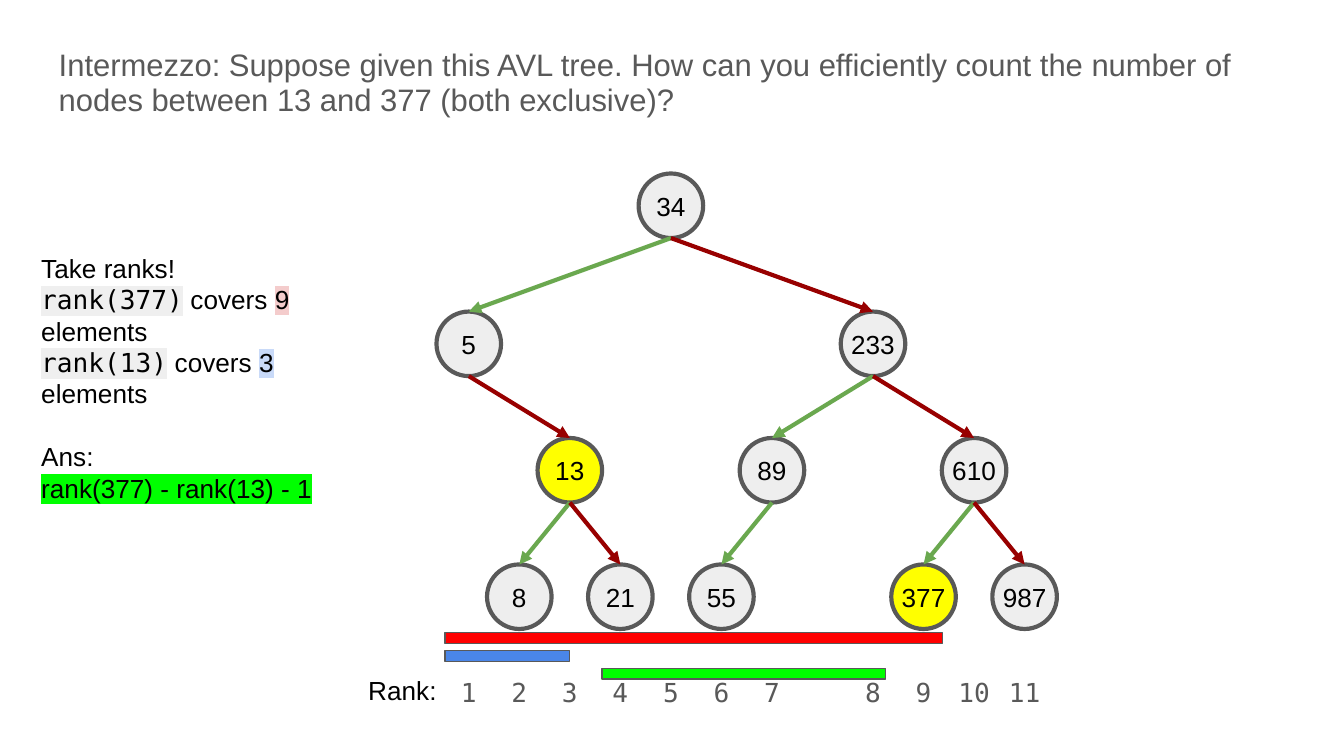
from dataclasses import dataclass

from lxml.etree import SubElement
from pptx import Presentation
from pptx.dml.color import RGBColor
from pptx.enum.shapes import MSO_CONNECTOR, MSO_SHAPE
from pptx.enum.text import MSO_ANCHOR, MSO_AUTO_SIZE, PP_ALIGN
from pptx.oxml.ns import qn
from pptx.util import Cm, Pt


@dataclass(frozen=True)
class Theme:
    sans: str = "Arial"
    mono: str = "DejaVu Sans Mono"
    title_size: float = 16.6
    text_size: float = 14
    text: str = "000000"
    gray: str = "595959"
    node: str = "EEEEEE"
    marked: str = "FFFF00"
    left_edge: str = "6AA84F"
    right_edge: str = "980000"
    red: str = "FF0000"
    blue: str = "4A86E8"
    green: str = "00FF00"
    code_bg: str = "EFEFEF"
    red_bg: str = "F4CCCC"
    blue_bg: str = "C9DAF8"


THEME = Theme()

# Tree geometry in cm: nodes sit on half-step columns, one row per level.
FIRST_X, COLUMN = 8.86, 0.955
LEVEL_Y = [3.89, 6.5, 8.89, 11.28]
DIAMETER = 1.22
RANK_Y, RANK_SIZE = 13.09, 0.89

# key: (column, level)
NODES = {
    8: (1, 3), 21: (3, 3), 55: (5, 3), 377: (9, 3), 987: (11, 3),
    13: (2, 2), 89: (6, 2), 610: (10, 2),
    5: (0, 1), 233: (8, 1),
    34: (4, 0),
}
CHILDREN = {34: (5, 233), 5: (13,), 233: (89, 610),
            13: (8, 21), 89: (55,), 610: (377, 987)}
MARKED = {13, 377}

# left, width, colour
BARS = [(8.41, 9.4, THEME.red), (8.41, 2.36, THEME.blue), (11.38, 5.36, THEME.green)]
BAR_TOP, BAR_STEP, BAR_HEIGHT = 11.96, 0.34, 0.2


def rgb(value):
    return RGBColor.from_string(value)


def center(key):
    column, level = NODES[key]
    return FIRST_X + column * COLUMN, LEVEL_Y[level]


def add_run(p, text, size=THEME.text_size, font=THEME.sans, color=THEME.text,
            highlight=None):
    r = p.add_run()
    r.text = text
    r.font.size = Pt(size)
    r.font.color.rgb = rgb(color)
    if highlight:
        mark = SubElement(r.font._element, qn("a:highlight"))
        SubElement(mark, qn("a:srgbClr"), val=highlight)
    r.font.name = font


def set_frame(tf, inset, anchor=MSO_ANCHOR.TOP):
    tf.word_wrap = True
    tf.auto_size = MSO_AUTO_SIZE.NONE
    tf.vertical_anchor = anchor
    tf.margin_left = tf.margin_right = tf.margin_top = tf.margin_bottom = Cm(inset)


def add_text(s, left, top, width, height, inset=0.25, anchor=MSO_ANCHOR.TOP):
    sp = s.shapes.add_textbox(Cm(left), Cm(top), Cm(width), Cm(height))
    set_frame(sp.text_frame, inset, anchor)
    return sp.text_frame


def add_outlined(s, kind, left, top, width, height, fill, line_width):
    sp = s.shapes.add_shape(kind, Cm(left), Cm(top), Cm(width), Cm(height))
    sp.shadow.inherit = False
    sp.fill.solid()
    sp.fill.fore_color.rgb = rgb(fill)
    sp.line.color.rgb = rgb(THEME.gray)
    sp.line.width = Pt(line_width)
    return sp


def add_title(s, text):
    sp = s.shapes.title
    sp.left, sp.top, sp.width, sp.height = Cm(0.86), Cm(0.66), Cm(23.67), Cm(2.31)
    set_frame(sp.text_frame, 0.25)
    p = sp.text_frame.paragraphs[0]
    p.alignment = PP_ALIGN.LEFT
    p.line_spacing = 0.95
    p.space_after = Pt(12)
    add_run(p, text, size=THEME.title_size, color=THEME.gray)


def add_node(s, key):
    x, y = center(key)
    sp = add_outlined(s, MSO_SHAPE.OVAL, x - DIAMETER / 2, y - DIAMETER / 2,
                      DIAMETER, DIAMETER,
                      THEME.marked if key in MARKED else THEME.node, 2.25)
    tf = sp.text_frame
    set_frame(tf, 0, MSO_ANCHOR.MIDDLE)
    tf.paragraphs[0].alignment = PP_ALIGN.CENTER
    add_run(tf.paragraphs[0], str(key))


def add_edge(s, parent, child):
    """Arrow from the bottom of the parent to the top of the child."""
    (x1, y1), (x2, y2) = center(parent), center(child)
    c = s.shapes.add_connector(MSO_CONNECTOR.STRAIGHT, Cm(x1), Cm(y1 + DIAMETER / 2),
                               Cm(x2), Cm(y2 - DIAMETER / 2))
    c.line.color.rgb = rgb(THEME.left_edge if child < parent else THEME.right_edge)
    c.line.width = Pt(2.25)
    SubElement(c.line._get_or_add_ln(), qn("a:tailEnd"), type="triangle")
    SubElement(c._element.spPr, qn("a:effectLst"))


def add_ranks(s):
    """Number the keys in sorted order below their columns."""
    for rank, key in enumerate(sorted(NODES), start=1):
        x, _ = center(key)
        tf = add_text(s, x - RANK_SIZE / 2, RANK_Y - RANK_SIZE / 2,
                      RANK_SIZE, RANK_SIZE, inset=0, anchor=MSO_ANCHOR.MIDDLE)
        tf.paragraphs[0].alignment = PP_ALIGN.CENTER
        add_run(tf.paragraphs[0], str(rank), font=THEME.mono, color=THEME.gray)
    add_run(add_text(s, 6.71, 12.5, 1.98, 0.76).paragraphs[0], "Rank:")


def add_answer(s):
    tf = add_text(s, 0.53, 4.52, 6.17, 6.15)
    add_run(tf.paragraphs[0], "Take ranks!")
    for call, count, highlight in [("rank(377)", "9", THEME.red_bg),
                                   ("rank(13)", "3", THEME.blue_bg)]:
        p = tf.add_paragraph()
        add_run(p, call, font=THEME.mono, highlight=THEME.code_bg)
        add_run(p, " covers ")
        add_run(p, count, highlight=highlight)
        add_run(p, " elements")
    p = tf.add_paragraph()
    p.space_before = Pt(16.8)
    add_run(p, "Ans:")
    add_run(tf.add_paragraph(), "rank(377) - rank(13) - 1", highlight=THEME.green)


def add_bars(s):
    for i, (left, width, color) in enumerate(BARS):
        add_outlined(s, MSO_SHAPE.RECTANGLE, left, BAR_TOP + i * BAR_STEP,
                     width, BAR_HEIGHT, color, 0.75)


def main():
    prs = Presentation()
    prs.slide_width, prs.slide_height = Cm(25.4), Cm(14.29)
    s = prs.slides.add_slide(prs.slide_layouts[5])
    add_title(s, "Intermezzo: Suppose given this AVL tree. How can you efficiently "
                 "count the number of nodes between 13 and 377 (both exclusive)?")
    for key in NODES:
        add_node(s, key)
    for parent, children in CHILDREN.items():
        for child in children:
            add_edge(s, parent, child)
    add_ranks(s)
    add_answer(s)
    add_bars(s)
    prs.save("out.pptx")


if __name__ == "__main__":
    main()
